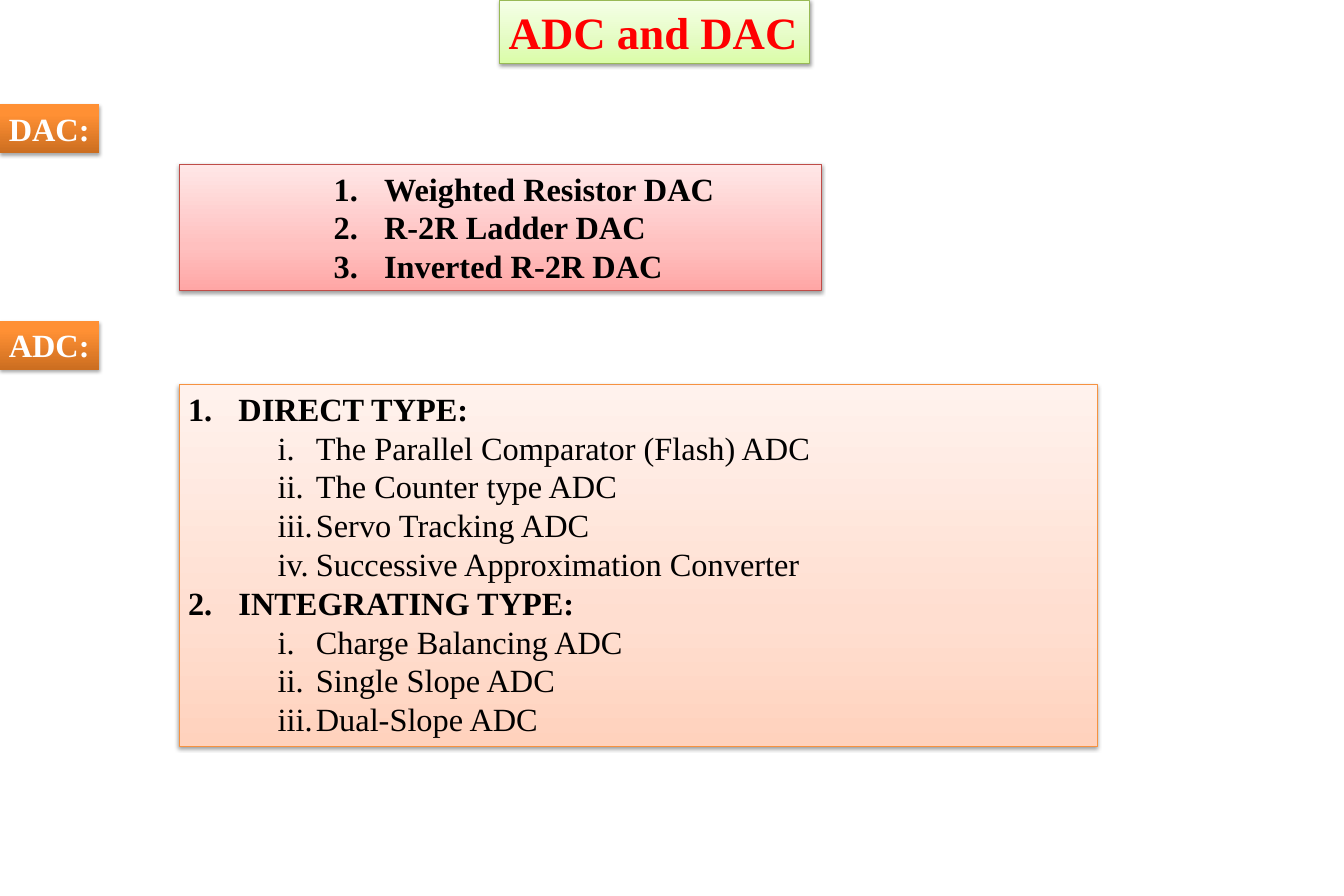
"""Builds a slide listing the types of DAC and ADC."""
from lxml import etree
from pptx import Presentation
from pptx.dml.color import RGBColor
from pptx.enum.shapes import MSO_SHAPE
from pptx.enum.text import MSO_ANCHOR, MSO_AUTO_SIZE, PP_ALIGN
from pptx.oxml.ns import qn
from pptx.util import Pt

RECT = MSO_SHAPE.RECTANGLE
TOP = MSO_ANCHOR.TOP
GROW = MSO_AUTO_SIZE.SHAPE_TO_FIT_TEXT
LEFT, JUSTIFY = PP_ALIGN.LEFT, PP_ALIGN.JUSTIFY

TITLE = "ADC and DAC"
DAC_TYPES = ["Weighted Resistor DAC", "R-2R Ladder DAC", "Inverted R-2R DAC"]
ADC_TYPES = {
    "DIRECT TYPE:": [
        "The Parallel Comparator (Flash) ADC",
        "The Counter type ADC",
        "Servo Tracking ADC",
        "Successive Approximation Converter",
    ],
    "INTEGRATING TYPE:": ["Charge Balancing ADC", "Single Slope ADC", "Dual-Slope ADC"],
}

THEME = {
    "font": "Times New Roman",
    "title_size": 36,
    "body_size": 26,
    "red": "FF0000",
    "black": "000000",
    "white": "FFFFFF",
    "green_box": ([(0, "DAFDA7"), (35, "E4FCC2"), (100, "F5FFE7")], "98B955", 38, 1.6),
    "red_box": ([(0, "FFA6A5"), (35, "FFC0BF"), (100, "FFE7E7")], "BF4C48", 38, 1.6),
    "peach_box": ([(0, "FFD2BD"), (35, "FFDED0"), (100, "FFF2ED")], "F69240", 38, 1.6),
    "label_box": ([(0, "CC6E20"), (80, "FF9034"), (100, "FF9136")], None, 35, 1.8),
}

TITLE_BOX = (401.75, 0, 249, 51)
LABELS = [("DAC:", 84), ("ADC:", 258)]
LABEL_W, LABEL_H = 80, 39
LIST_X = 144
DAC_BOX = (LIST_X, 132, 516, 101.5)
ADC_BOX = (LIST_X, 309, 738, 291)

DAC_INDENT = (157.5, 40.5)
HEAD_INDENT = (40.5, 40.5)
ITEM_INDENT = (102.75, 30.75)
ARABIC, ROMAN = "arabicPeriod", "romanLcPeriod"


def add_color(parent, color):
    return etree.SubElement(parent, qn("a:srgbClr"), val=color)


def add_box(slide, box, style, wrap=True):
    stops, line, opacity, distance = style
    s = slide.shapes.add_shape(RECT, *[Pt(v) for v in box])
    s.fill.gradient()
    s.fill.gradient_angle = 90
    gs_list = s._element.spPr.find(".//" + qn("a:gsLst"))
    for gs in list(gs_list):
        gs_list.remove(gs)
    for position, color in stops:
        add_color(etree.SubElement(gs_list, qn("a:gs"), pos=str(position * 1000)), color)
    if line:
        s.line.color.rgb = RGBColor.from_string(line)
        s.line.width = Pt(0.75)
    else:
        s.line.fill.background()
    s.shadow.inherit = False
    shadow = etree.SubElement(
        s._element.spPr.find(qn("a:effectLst")), qn("a:outerShdw"),
        blurRad=str(Pt(3.1)), dist=str(Pt(distance)), dir="5400000", rotWithShape="0")
    etree.SubElement(add_color(shadow, THEME["black"]), qn("a:alpha"), val=str(opacity * 1000))
    tf = s.text_frame
    tf.word_wrap = wrap
    tf.auto_size = GROW
    tf.vertical_anchor = TOP
    return tf


def style_text(p, size, color, bold=True, align=LEFT):
    p.alignment = align
    for r in p.runs:
        r.font.name = THEME["font"]
        r.font.size = Pt(size)
        r.font.bold = bold
        r.font.color.rgb = RGBColor.from_string(color)


def add_label(slide, box, text, style, size, color):
    tf = add_box(slide, box, style, wrap=False)
    tf.text = text
    style_text(tf.paragraphs[0], size, color)


def add_list(slide, box, style, rows):
    tf = add_box(slide, box, style)
    tf.text = "\n".join(row[0] for row in rows)
    for p, (_, (margin, hang), scheme, start, bold) in zip(tf.paragraphs, rows):
        style_text(p, THEME["body_size"], THEME["black"], bold, JUSTIFY)
        pPr = p._p.get_or_add_pPr()
        pPr.set("marL", str(Pt(margin)))
        pPr.set("indent", str(-Pt(hang)))
        etree.SubElement(pPr, qn("a:buFont"), typeface="+mj-lt")
        number = etree.SubElement(pPr, qn("a:buAutoNum"), type=scheme)
        if start > 1:
            number.set("startAt", str(start))


def main():
    prs = Presentation()
    prs.slide_width, prs.slide_height = Pt(1080), Pt(720)
    slide = prs.slides.add_slide(prs.slide_layouts[6])

    add_label(slide, TITLE_BOX, TITLE, THEME["green_box"], THEME["title_size"], THEME["red"])
    for text, top in LABELS:
        add_label(slide, (0, top, LABEL_W, LABEL_H), text, THEME["label_box"],
                  THEME["body_size"], THEME["white"])

    add_list(slide, DAC_BOX, THEME["red_box"],
             [(text, DAC_INDENT, ARABIC, 1, True) for text in DAC_TYPES])
    adc_rows = []
    for n, (heading, items) in enumerate(ADC_TYPES.items(), 1):
        adc_rows.append((heading, HEAD_INDENT, ARABIC, n, True))
        adc_rows += [(text, ITEM_INDENT, ROMAN, 1, False) for text in items]
    add_list(slide, ADC_BOX, THEME["peach_box"], adc_rows)

    prs.save("out.pptx")


if __name__ == "__main__":
    main()
